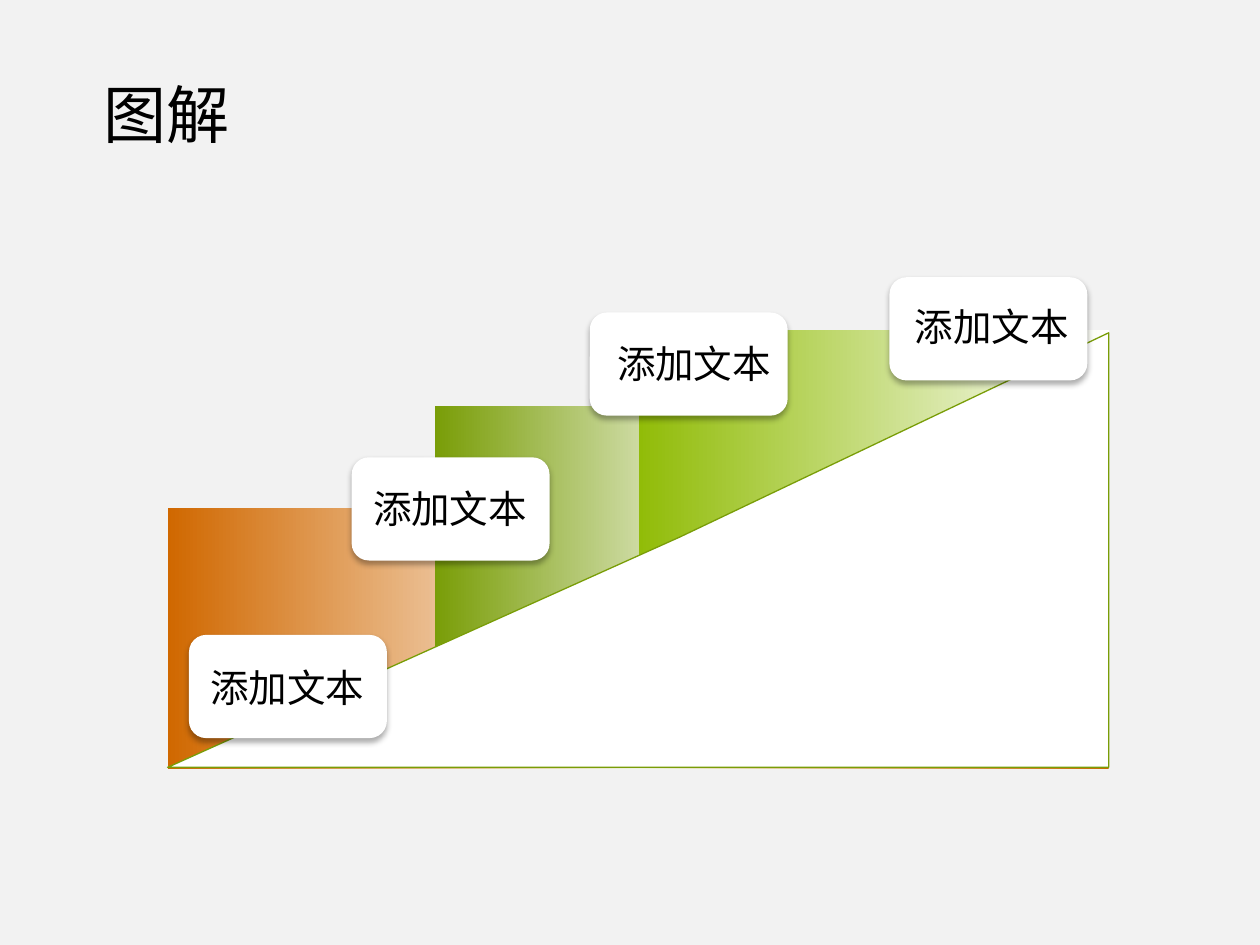
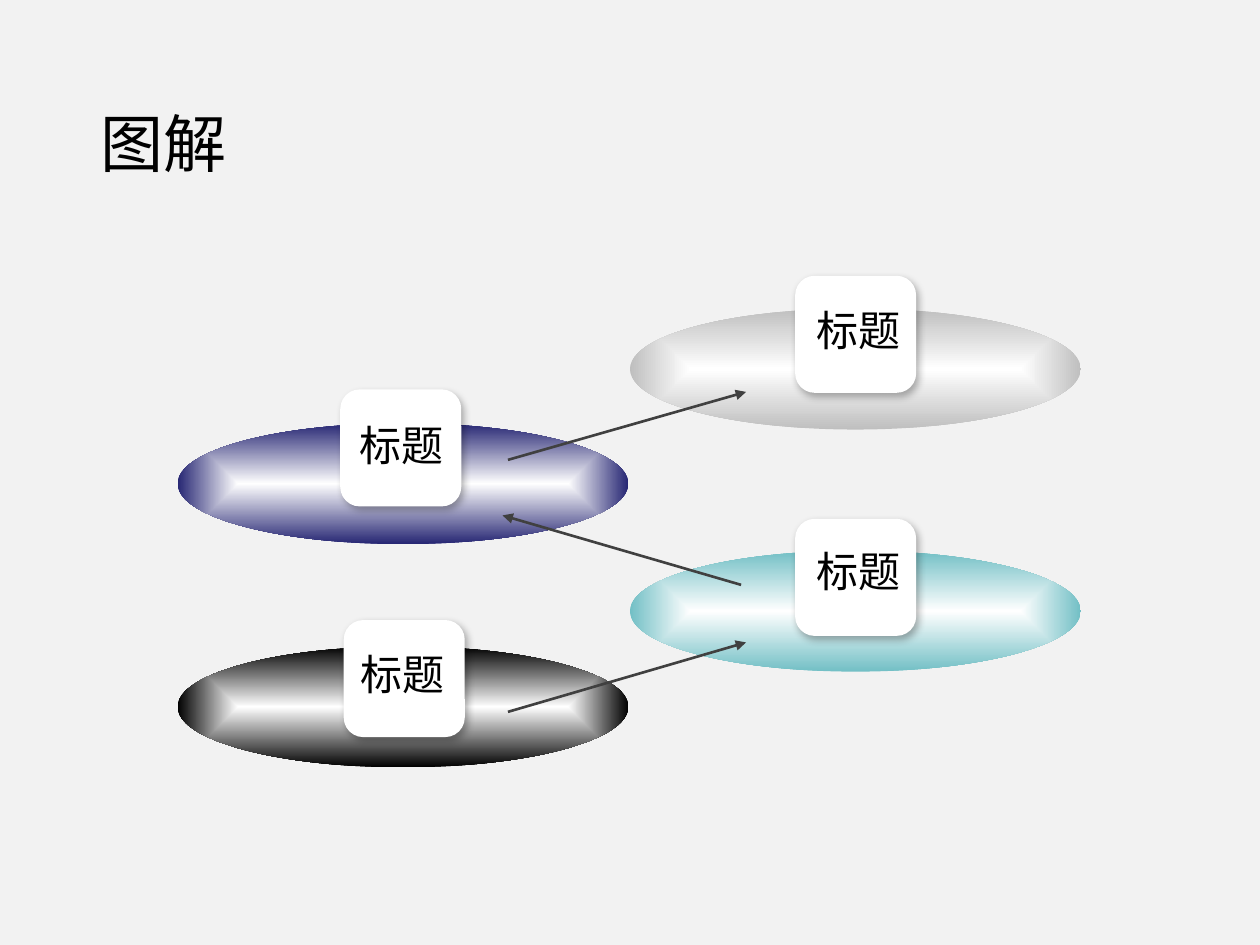
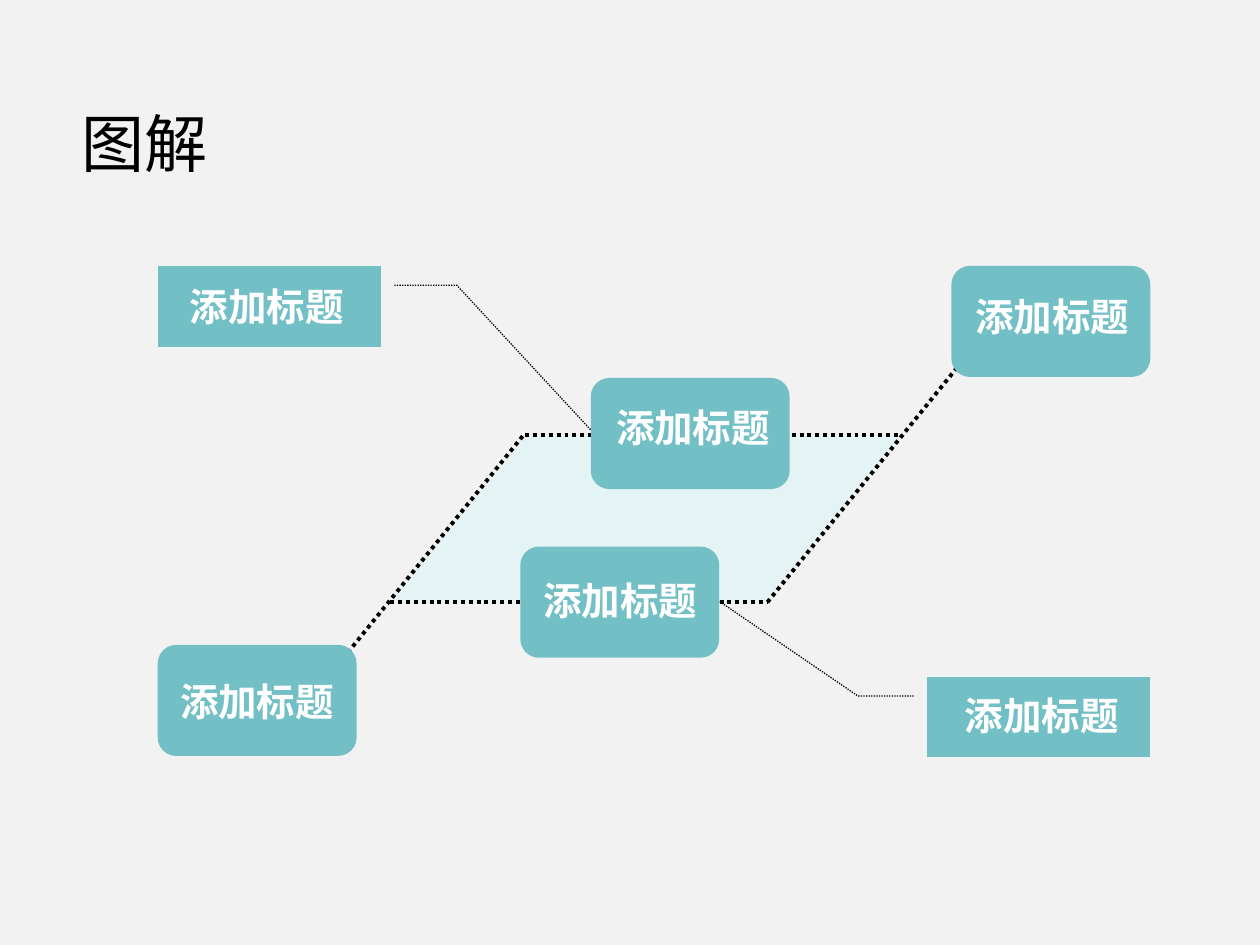
from dataclasses import dataclass
from typing import Optional

from pptx import Presentation
from pptx.dml.color import RGBColor
from pptx.enum.dml import MSO_LINE
from pptx.enum.shapes import MSO_CONNECTOR, MSO_SHAPE
from pptx.enum.text import MSO_AUTO_SIZE, PP_ALIGN
from pptx.oxml import parse_xml
from pptx.oxml.ns import nsdecls, qn
from pptx.oxml.xmlchemy import OxmlElement
from pptx.shapes.autoshape import Shape
from pptx.shapes.connector import Connector
from pptx.slide import Slide
from pptx.util import Cm, Pt

BACKGROUND = RGBColor(0xF2, 0xF2, 0xF2)
BLACK = RGBColor(0, 0, 0)
WHITE = RGBColor(0xFF, 0xFF, 0xFF)
ORANGE = RGBColor(0xD0, 0x68, 0x00)
OLIVE = RGBColor(0x79, 0x9D, 0x07)
LIME = RGBColor(0x91, 0xBC, 0x08)
TEAL = RGBColor(0x72, 0xBF, 0xC5)
PALE_TEAL = RGBColor(0xE4, 0xF3, 0xF4)
NAVY = RGBColor(0x26, 0x26, 0x73)
SILVER = RGBColor(0xBF, 0xBF, 0xBF)
CHARCOAL = RGBColor(0x40, 0x40, 0x40)
FONT = "Noto Sans CJK SC"
LINEAR = '<a:lin ang="0" scaled="1"/>'
CENTRED = (
    '<a:path path="shape"><a:fillToRect l="50000" t="50000" r="50000" b="50000"/></a:path>'
)


@dataclass(frozen=True)
class Box:
    left: float
    top: float
    width: float
    height: float


@dataclass(frozen=True)
class Shadow:
    opacity: int
    blur: float
    distance: float
    angle: int


@dataclass(frozen=True)
class CardStyle:
    preset: MSO_SHAPE
    width: float
    height: float
    fill: RGBColor
    text: str
    label_width: float
    label_height: float
    size: int
    color: RGBColor
    bold: bool = False
    shadow: Optional[Shadow] = None


@dataclass(frozen=True)
class Card:
    left: float
    top: float
    label_left: float
    label_top: float


@dataclass(frozen=True)
class Segment:
    start_x: float
    start_y: float
    end_x: float
    end_y: float


def add_text(slide: Slide, box: Box, text: str, size: int, color: RGBColor,
             font: str = FONT, bold: bool = False,
             alignment: PP_ALIGN = PP_ALIGN.LEFT) -> None:
    shape = slide.shapes.add_textbox(Cm(box.left), Cm(box.top), Cm(box.width), Cm(box.height))
    frame = shape.text_frame
    frame.word_wrap = True
    frame.auto_size = MSO_AUTO_SIZE.SHAPE_TO_FIT_TEXT
    frame.text = text
    paragraph = frame.paragraphs[0]
    paragraph.alignment = alignment
    run = paragraph.runs[0]
    run.font.name = font
    run.font.size = Pt(size)
    run.font.bold = bold
    run.font.color.rgb = color
    east_asian = OxmlElement("a:ea")
    east_asian.set("typeface", FONT)
    run.font._element.find(qn("a:latin")).addnext(east_asian)


def add_plain(slide: Slide, preset: MSO_SHAPE, box: Box) -> Shape:
    shape = slide.shapes.add_shape(
        preset, Cm(box.left), Cm(box.top), Cm(box.width), Cm(box.height))
    shape.fill.background()
    shape.line.fill.background()
    shape.shadow.inherit = False
    return shape


def add_gradient(slide: Slide, preset: MSO_SHAPE, box: Box,
                 colors: list[RGBColor], direction: str) -> None:
    shape = add_plain(slide, preset, box)
    step = 100000 // (len(colors) - 1)
    stops = "".join(
        f'<a:gs pos="{index * step}"><a:srgbClr val="{color}"/></a:gs>'
        for index, color in enumerate(colors))
    gradient = parse_xml(
        f'<a:gradFill {nsdecls("a")} rotWithShape="1">'
        f'<a:gsLst>{stops}</a:gsLst>{direction}</a:gradFill>')
    properties = shape._element.spPr
    properties.replace(properties.find(qn("a:noFill")), gradient)


def add_shadow(shape: Shape, shadow: Shadow) -> None:
    outer = parse_xml(
        f'<a:outerShdw {nsdecls("a")} blurRad="{Pt(shadow.blur)}" dist="{Pt(shadow.distance)}" '
        f'dir="{shadow.angle * 60000}" algn="ctr" rotWithShape="0">'
        f'<a:srgbClr val="{BLACK}"><a:alpha val="{shadow.opacity * 1000}"/></a:srgbClr>'
        '</a:outerShdw>')
    shape._element.spPr.find(qn("a:effectLst")).append(outer)


def add_card(slide: Slide, card: Card, style: CardStyle) -> Shape:
    shape = add_plain(slide, style.preset, Box(card.left, card.top, style.width, style.height))
    shape.fill.solid()
    shape.fill.fore_color.rgb = style.fill
    if style.shadow:
        add_shadow(shape, style.shadow)
    add_text(slide, Box(card.label_left, card.label_top, style.label_width, style.label_height),
             style.text, style.size, style.color, bold=style.bold, alignment=PP_ALIGN.CENTER)
    return shape


def add_polygon(slide: Slide, points: list[tuple[float, float]], fill: RGBColor) -> Shape:
    corners = [(Cm(x), Cm(y)) for x, y in points]
    builder = slide.shapes.build_freeform(*corners[0])
    builder.add_line_segments(corners[1:], close=True)
    shape = builder.convert_to_shape()
    shape.fill.solid()
    shape.fill.fore_color.rgb = fill
    shape.line.fill.background()
    shape.shadow.inherit = False
    return shape


def add_line(slide: Slide, segment: Segment, color: RGBColor, width: float) -> Connector:
    connector = slide.shapes.add_connector(
        MSO_CONNECTOR.STRAIGHT, Cm(segment.start_x), Cm(segment.start_y),
        Cm(segment.end_x), Cm(segment.end_y))
    connector.line.color.rgb = color
    connector.line.width = Pt(width)
    connector._element.spPr.append(OxmlElement("a:effectLst"))
    return connector


def add_arrow(slide: Slide, segment: Segment) -> None:
    connector = add_line(slide, segment, CHARCOAL, 1.5)
    tail = OxmlElement("a:tailEnd")
    tail.set("type", "triangle")
    connector.line._get_or_add_ln().append(tail)


def start_slide(presentation: Presentation, title: Box, font: str = FONT) -> Slide:
    slide = presentation.slides.add_slide(presentation.slide_layouts[6])
    slide.background.fill.solid()
    slide.background.fill.fore_color.rgb = BACKGROUND
    add_text(slide, title, "图解", 36, BLACK, font)
    return slide


def build_staircase(presentation: Presentation) -> None:
    slide = start_slide(presentation, Box(1.83, 1.4, 7.8, 1.78), "Arial")
    steps = [
        (Box(3.38, 10.24, 18.97, 5.26), [ORANGE, WHITE, ORANGE]),
        (Box(8.76, 8.18, 13.26, 5.51), [OLIVE, WHITE, OLIVE]),
        (Box(12.88, 6.65, 9.47, 5.26), [LIME, WHITE]),
    ]
    for box, colors in steps:
        add_gradient(slide, MSO_SHAPE.RECTANGLE, box, colors, LINEAR)
    slope = add_polygon(
        slide, [(3.38, 15.47), (22.35, 15.47), (22.35, 6.71), (13.72, 10.82)], WHITE)
    slope.line.color.rgb = OLIVE
    slope.line.width = Pt(0.75)
    style = CardStyle(MSO_SHAPE.ROUNDED_RECTANGLE, 3.99, 2.08, WHITE, "添加文本",
                      3.96, 1.19, 22, BLACK, shadow=Shadow(32, 3.5, 2.2, 90))
    for card in (
        Card(3.81, 12.8, 3.81, 13.26),
        Card(7.09, 9.22, 7.09, 9.65),
        Card(11.89, 6.3, 12.01, 6.73),
        Card(17.93, 5.59, 18.01, 5.99),
    ):
        add_card(slide, card, style)


def build_zigzag(presentation: Presentation) -> None:
    slide = start_slide(presentation, Box(1.78, 1.98, 11.13, 1.8))
    left, right = 3.58, 12.7
    for x, y, color in (
        (left, 13.03, BLACK), (right, 11.1, TEAL), (left, 8.53, NAVY), (right, 6.22, SILVER),
    ):
        add_gradient(slide, MSO_SHAPE.OVAL, Box(x, y, 9.09, 2.44), [WHITE, color], CENTRED)
    style = CardStyle(MSO_SHAPE.ROUNDED_RECTANGLE, 2.44, 2.36, WHITE, "标题",
                      3.38, 1.27, 24, BLACK, shadow=Shadow(30, 4.5, 2.6, 53))
    for card in (
        Card(16.03, 10.46, 15.62, 10.87),
        Card(6.93, 12.5, 6.43, 12.95),
        Card(6.86, 7.85, 6.4, 8.33),
        Card(16.03, 5.56, 15.62, 6.02),
    ):
        add_card(slide, card, style)
    for segment in (
        Segment(10.24, 14.35, 15.04, 12.95),
        Segment(10.24, 9.27, 15.04, 7.9),
        Segment(14.94, 11.79, 10.13, 10.39),
    ):
        add_arrow(slide, segment)


def build_parallelogram(presentation: Presentation) -> None:
    slide = start_slide(presentation, Box(1.4, 1.98, 8.33, 1.8))
    add_polygon(
        slide, [(7.8, 12.17), (15.39, 12.17), (18.16, 8.79), (10.64, 8.79)], PALE_TEAL)
    for segment in (
        Segment(10.59, 8.76, 18.16, 8.76),
        Segment(7.87, 12.14, 15.47, 12.14),
        Segment(15.47, 12.14, 20.19, 6.3),
        Segment(5.82, 14.63, 10.54, 8.79),
    ):
        add_line(slide, segment, BLACK, 2.25).line.dash_style = MSO_LINE.ROUND_DOT
    style = CardStyle(MSO_SHAPE.ROUNDED_RECTANGLE, 4.01, 2.24, TEAL, "添加标题",
                      3.96, 1.19, 22, WHITE, bold=True)
    for card in (
        Card(3.18, 13, 3.2, 13.54),
        Card(10.49, 11.02, 10.52, 11.51),
        Card(11.91, 7.62, 11.99, 8.03),
        Card(19.18, 5.36, 19.23, 5.79),
    ):
        add_card(slide, card, style)
    callout_style = CardStyle(MSO_SHAPE.LINE_CALLOUT_2_NO_BORDER, 4.5, 1.63, TEAL, "添加标题",
                              3.96, 1.19, 22, WHITE, bold=True)
    callouts = [
        (Card(18.69, 13.64, 19.02, 13.82), (0.24, -0.06, 0.24, -0.31, -0.93, -0.93)),
        (Card(3.18, 5.36, 3.4, 5.59), (0.24, 1.06, 0.24, 1.34, 2.03, 1.94)),
    ]
    for card, leader in callouts:
        callout = add_card(slide, card, callout_style)
        for index, value in enumerate(leader):
            callout.adjustments[index] = value
        callout.line.color.rgb = BLACK
        callout.line.width = Pt(0.75)
        callout.line.dash_style = MSO_LINE.ROUND_DOT


def main() -> None:
    presentation = Presentation()
    presentation.slide_width = Cm(25.4)
    presentation.slide_height = Cm(19.05)
    build_staircase(presentation)
    build_zigzag(presentation)
    build_parallelogram(presentation)
    presentation.save("out.pptx")


if __name__ == "__main__":
    main()
